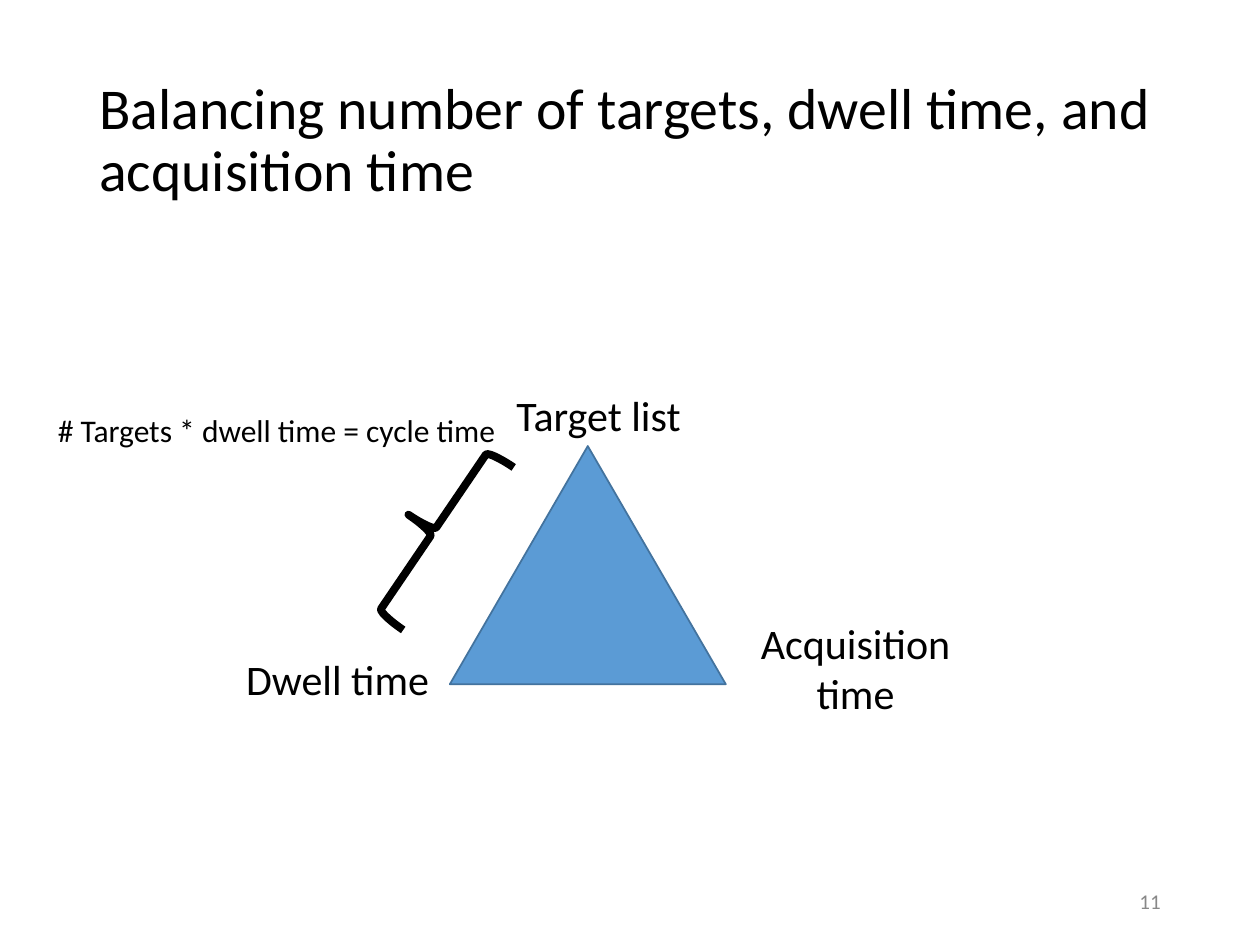
from dataclasses import dataclass

from pptx import Presentation
from pptx import util as u
from pptx.dml import color
from pptx.enum import shapes, text


@dataclass(frozen=True)
class Theme:
    """Colours, font and type sizes of the slide."""
    font: str = "Calibri"
    ink: str = "000000"
    muted: str = "888888"
    accent: str = "5B9BD5"
    accent_edge: str = "43739E"
    title: float = 33
    label: float = 24
    formula: float = 18
    number: float = 12


class SlideBuilder:
    """Draws styled elements on a grid of 100 columns by 75 rows."""

    def __init__(self, deck, theme):
        """Add a blank slide and measure the grid."""
        self.theme = theme
        self.slide = deck.slides.add_slide(deck.slide_layouts[6])
        self.column = deck.slide_width / 100
        self.row = deck.slide_height / 75

    def place(self, left, top, width, height):
        """Turn grid units into slide lengths."""
        return (round(left * self.column), round(top * self.row),
                round(width * self.column), round(height * self.row))

    def words(self, wording, cell, size, ink, frame=None, paragraph=None):
        """Add a text box with frame and paragraph formats."""
        box = self.slide.shapes.add_textbox(*self.place(*cell)).text_frame
        box.text = wording
        line = box.paragraphs[0]
        font = {"name": self.theme.font, "size": u.Pt(size)}
        formats = ((box, {"word_wrap": True, **(frame or {})}),
                   (line, paragraph or {}), (line.runs[0].font, font))
        for part, values in formats:
            for name, value in values.items():
                setattr(part, name, value)
        line.runs[0].font.color.rgb = color.RGBColor.from_string(ink)

    def figure(self, preset, cell, edge, weight, fill=None, rotation=0):
        """Add a preset shape with an outline and an optional fill."""
        shape = self.slide.shapes.add_shape(preset, *self.place(*cell))
        shape.shadow.inherit = False
        shape.rotation = rotation
        if fill:
            shape.fill.solid()
            shape.fill.fore_color.rgb = color.RGBColor.from_string(fill)
        else:
            shape.fill.background()
        shape.line.color.rgb = color.RGBColor.from_string(edge)
        shape.line.width = u.Pt(weight)


def main():
    """Build the slide and save it."""
    deck = Presentation()
    deck.slide_width, deck.slide_height = u.Inches(10), u.Inches(7.5)
    theme = Theme()
    page = SlideBuilder(deck, theme)
    middle = {"vertical_anchor": text.MSO_ANCHOR.MIDDLE}
    centred = {"alignment": text.PP_ALIGN.CENTER}
    right = {"alignment": text.PP_ALIGN.RIGHT}

    page.words("Balancing number of targets, dwell time, and acquisition time",
               (6.9, 4, 86.2, 14.5), theme.title, theme.ink, middle,
               {"line_spacing": 0.9})
    page.words("11", (70.6, 69.5, 22.5, 4), theme.number, theme.muted,
               middle, right)

    corners = (
        ("Target list", (37.4, 30.4, 20.2, 5), True),
        ("Dwell time", (18, 51.4, 17.6, 5), False),
        ("Acquisition time", (58.3, 48.5, 19.2, 9.1), True),
    )
    for corner, cell, wraps in corners:
        page.words(corner, cell, theme.label, theme.ink,
                   {"word_wrap": wraps}, centred)

    page.figure(shapes.MSO_SHAPE.ISOSCELES_TRIANGLE, (35.7, 35.4, 21.9, 18.9),
                theme.accent_edge, 1, theme.accent)
    page.words("# Targets * dwell time = cycle time", (-4.3, 32.1, 44.6, 4),
               theme.formula, theme.ink, paragraph=right)
    page.figure(shapes.MSO_SHAPE.LEFT_BRACE, (32, 34.4, 4.8, 15.6),
                theme.ink, 4.5, rotation=34.2)

    deck.save("out.pptx")


if __name__ == "__main__":
    main()
